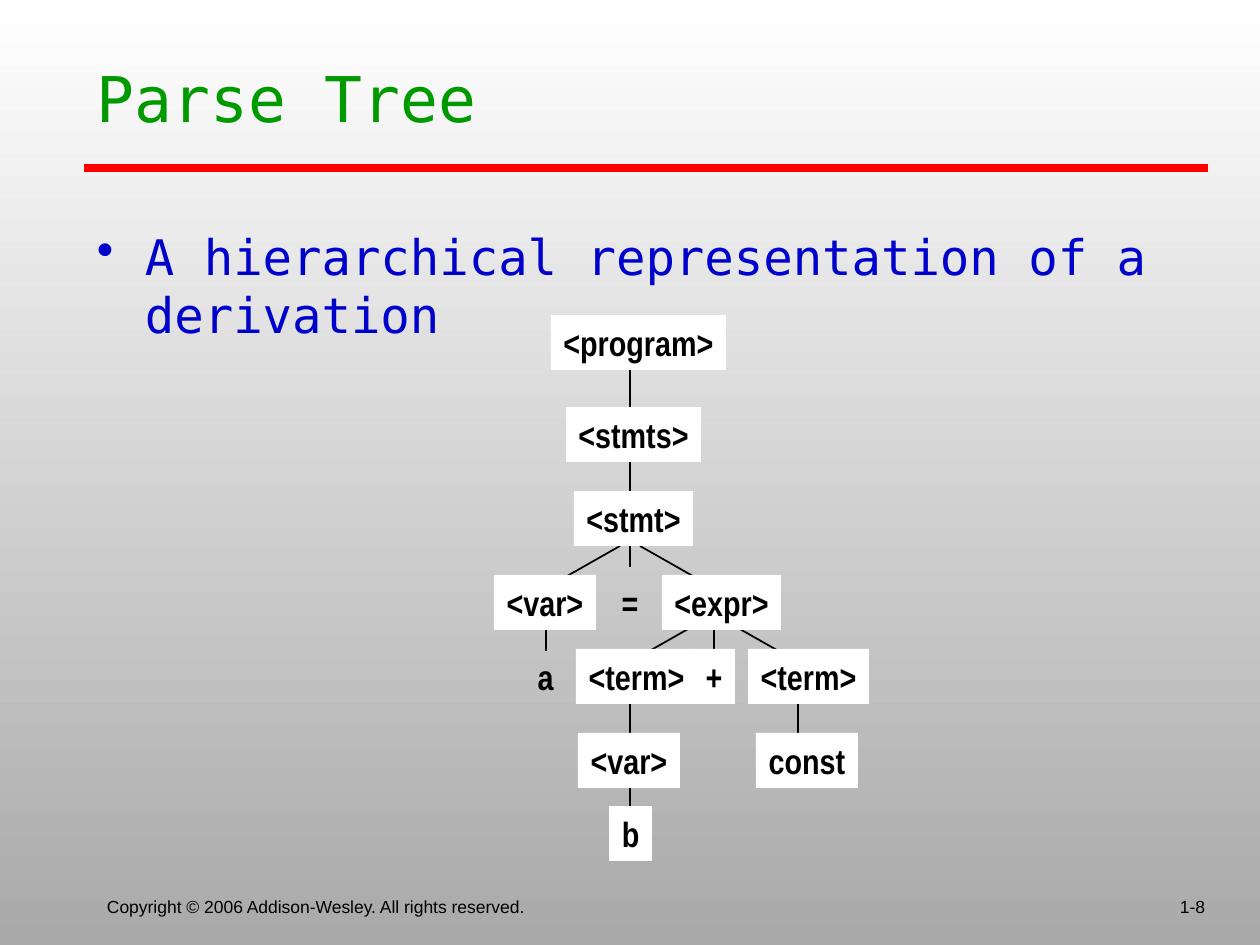
from lxml import etree
from pptx import Presentation
from pptx.dml.color import RGBColor
from pptx.enum.shapes import MSO_CONNECTOR
from pptx.enum.text import MSO_ANCHOR, PP_ALIGN
from pptx.oxml.ns import qn
from pptx.util import Pt

EMU_PER_PX = 914400 / 126
TOP, BOTTOM = MSO_ANCHOR.TOP, MSO_ANCHOR.BOTTOM
LEFT, CENTER, RIGHT = PP_ALIGN.LEFT, PP_ALIGN.CENTER, PP_ALIGN.RIGHT
STRAIGHT = MSO_CONNECTOR.STRAIGHT

WHITE = RGBColor(0xFF, 0xFF, 0xFF)
GRAY = RGBColor(0xA9, 0xA9, 0xA9)
BLACK = RGBColor(0, 0, 0)
GREEN = RGBColor(0, 0x99, 0)
BLUE = RGBColor(0, 0, 0xCC)
RED = RGBColor(0xFF, 0, 0)
MONO = "DejaVu Sans Mono"

TITLE = "Parse Tree"
STATEMENT = "A hierarchical representation of a derivation"
COPYRIGHT = "Copyright © 2006 Addison-Wesley. All rights reserved."
PAGE = "1-8"

NODE_HEIGHT = 55
# Each level: top, then its nodes as (text, left, width, fill)
TREE = [
    (315, [("<program>", 551, 175, WHITE)]),
    (407, [("<stmts>", 566, 135, WHITE)]),
    (491, [("<stmt>", 574, 119, WHITE)]),
    (575, [("<var>", 494, 102, WHITE), ("=", 609, 42, None),
           ("<expr>", 662, 119, WHITE)]),
    (649, [("a", 525, 41, None), ("<term>", 576, 121, WHITE),
           ("+", 693, 42, WHITE), ("<term>", 748, 121, WHITE)]),
    (733, [("<var>", 578, 102, WHITE), ("const", 756, 102, WHITE)]),
    (806, [("b", 609, 43, WHITE)]),
]
# Branches run behind the nodes: x1, y1, x2, y2
BRANCHES = [
    (630, 346, 630, 567),
    (620, 546, 546, 588),
    (640, 546, 714, 588),
    (546, 588, 546, 651),
    (704, 620, 630, 662),
    (714, 588, 714, 662),
    (724, 620, 798, 662),
    (630, 672, 630, 840),
    (798, 672, 798, 766),
]


def px(value):
    return round(value * EMU_PER_PX)


def add_bullet(paragraph, color, indent):
    properties = paragraph._p.get_or_add_pPr()
    properties.set("marL", str(px(indent)))
    properties.set("indent", str(-px(indent)))
    bullet_color = etree.SubElement(properties, qn("a:buClr"))
    etree.SubElement(bullet_color, qn("a:srgbClr"), val=str(color))
    etree.SubElement(properties, qn("a:buChar"), char="•")


def add_text(slide, text, left, top, width, height, *, font, size, color=BLACK,
             bold=False, align=LEFT, anchor=TOP, fill=None, wrap=True,
             side_margin=13, bullet_indent=None):
    box = slide.shapes.add_textbox(px(left), px(top), px(width), px(height))
    if fill is not None:
        box.fill.solid()
        box.fill.fore_color.rgb = fill
    frame = box.text_frame
    frame.word_wrap = wrap
    frame.margin_left = frame.margin_right = px(side_margin)
    frame.vertical_anchor = anchor
    paragraph = frame.paragraphs[0]
    paragraph.alignment = align
    if bullet_indent:
        add_bullet(paragraph, color, bullet_indent)
    run = paragraph.add_run()
    run.text = text
    run.font.name = font
    run.font.size = Pt(size)
    run.font.bold = bold
    run.font.color.rgb = color


def add_line(slide, x1, y1, x2, y2, color, weight):
    line = slide.shapes.add_connector(STRAIGHT, px(x1), px(y1), px(x2), px(y2))
    line.line.color.rgb = color
    line.line.width = Pt(weight)
    etree.SubElement(line._element.spPr, qn("a:effectLst"))


def add_background(slide):
    fill = slide.background.fill
    fill.gradient()
    fill.gradient_angle = 270
    for stop, color, position in zip(fill.gradient_stops, (WHITE, GRAY), (0, 1)):
        stop.color.rgb = color
        stop.position = position


def add_tree(slide):
    for branch in BRANCHES:
        add_line(slide, *branch, BLACK, 1)
    for top, nodes in TREE:
        for text, left, width, fill in nodes:
            add_text(slide, text, left, top, width, NODE_HEIGHT,
                     font="Arial Narrow", size=20, bold=True, align=CENTER,
                     fill=fill, wrap=False, side_margin=0)


def main():
    presentation = Presentation()
    presentation.slide_width = px(1260)
    presentation.slide_height = px(945)
    slide = presentation.slides.add_slide(presentation.slide_layouts[6])

    add_background(slide)
    add_line(slide, 84, 168, 1208, 168, RED, 4.5)
    add_text(slide, COPYRIGHT, 94, 860, 578, 63, font="Arial", size=10, anchor=BOTTOM)
    add_text(slide, PAGE, 955, 860, 263, 63, font="Arial", size=10,
             align=RIGHT, anchor=BOTTOM)
    add_text(slide, TITLE, 84, 53, 1124, 157, font=MONO, size=36, color=GREEN)
    add_text(slide, STATEMENT, 84, 220, 1124, 630, font=MONO, size=28, color=BLUE,
             bullet_indent=48)
    add_tree(slide)

    presentation.save("out.pptx")


if __name__ == "__main__":
    main()
